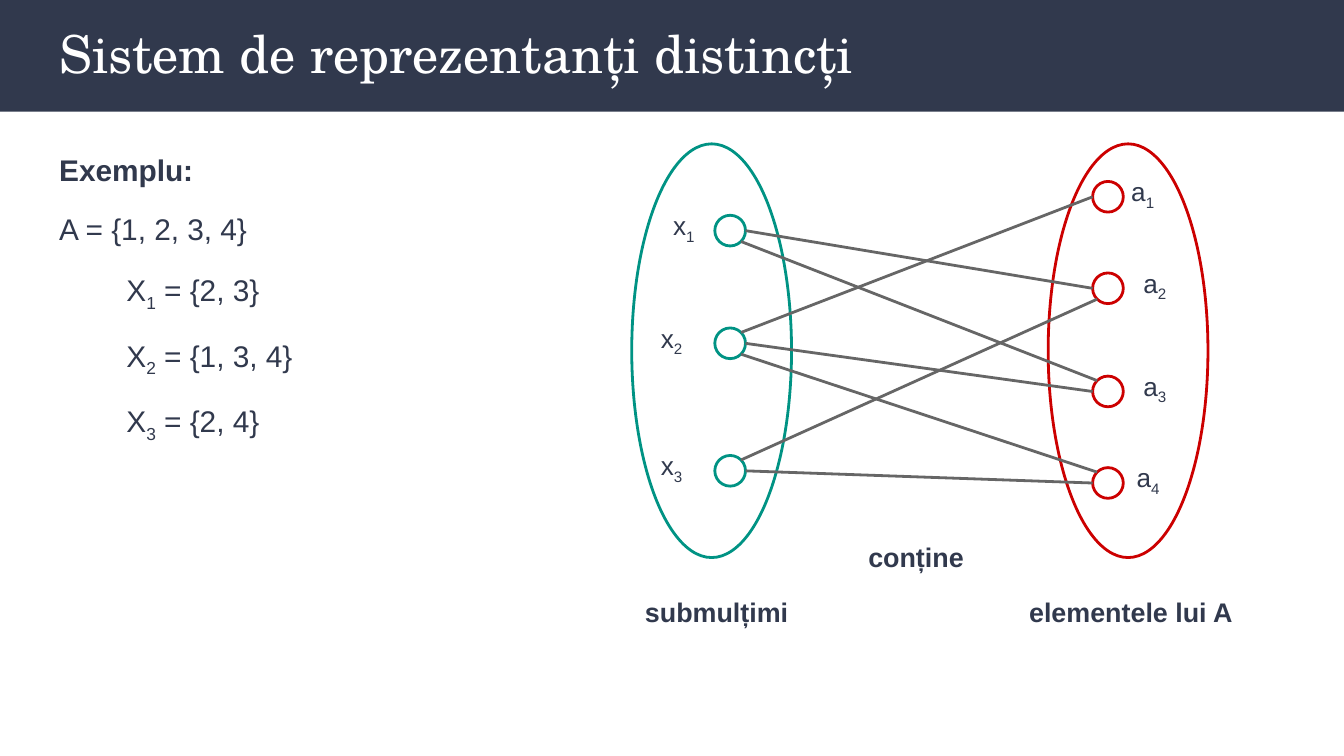
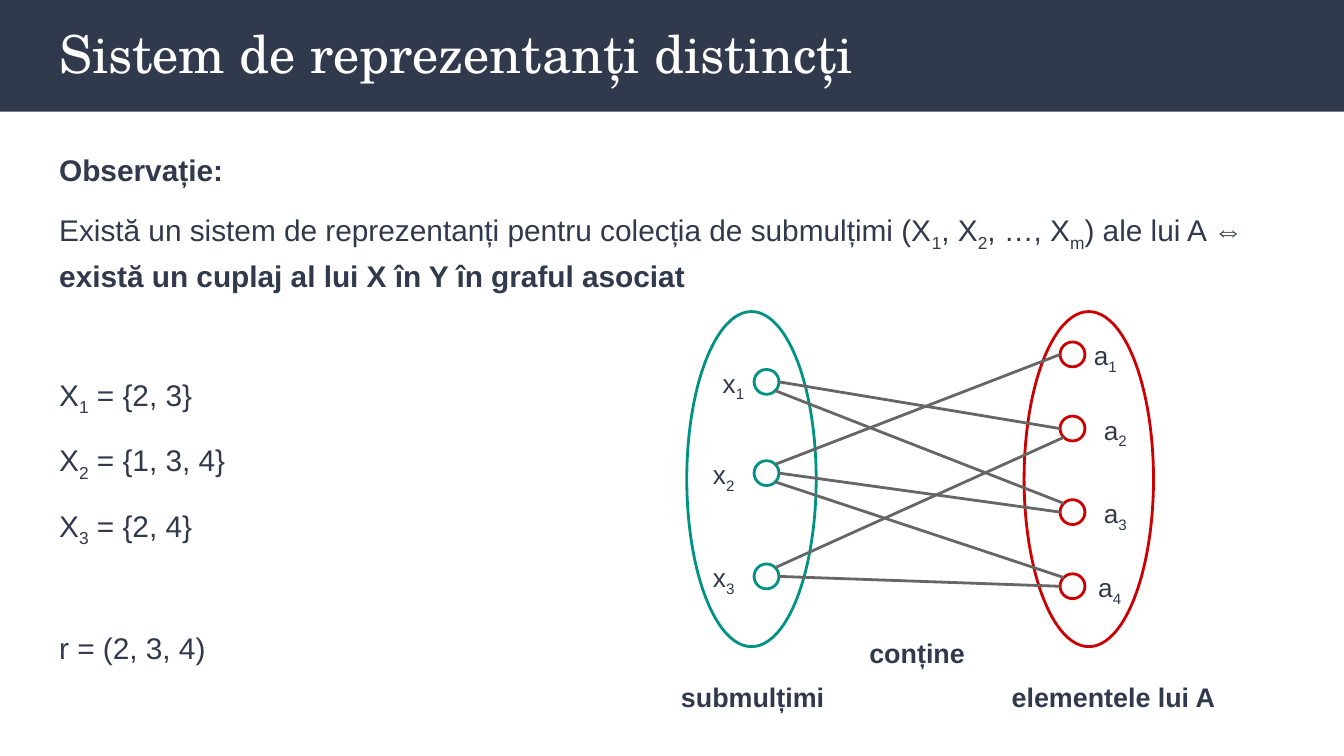
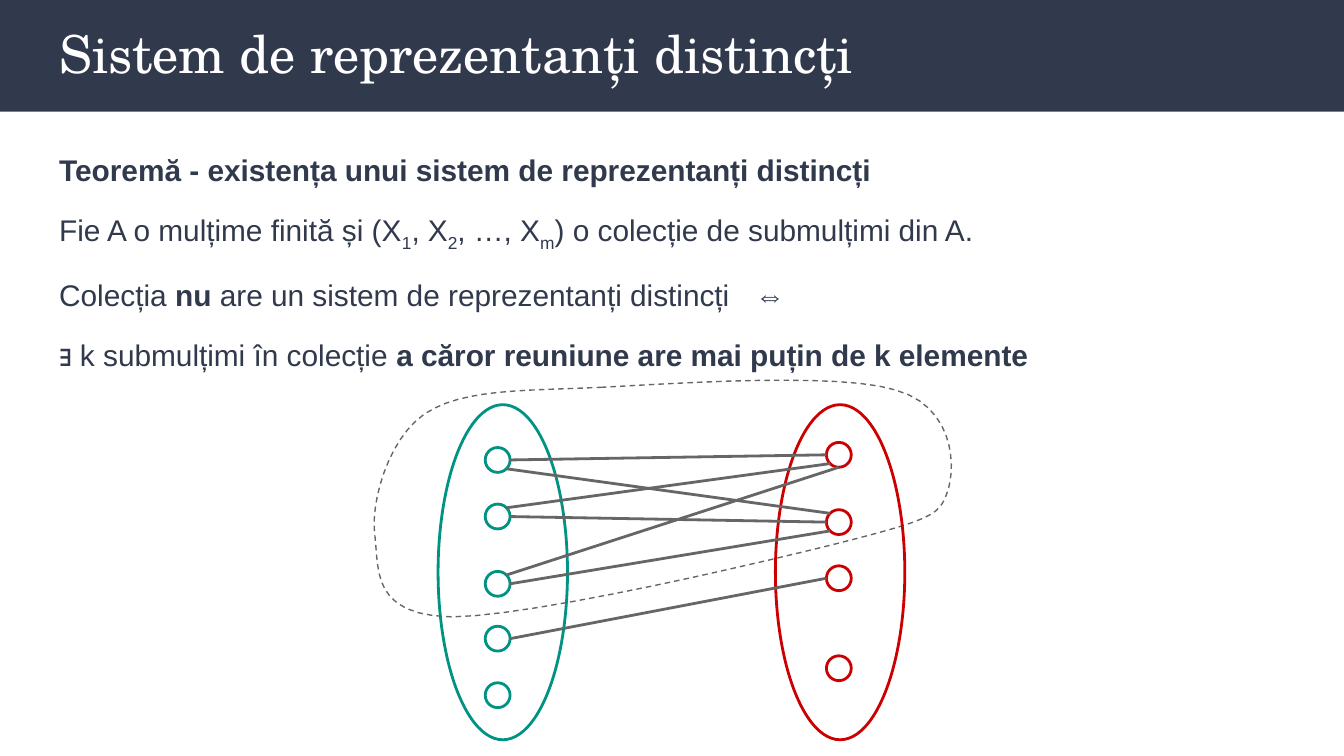
import math

import lxml.etree
import pptx
import pptx.dml.color
import pptx.enum.dml
import pptx.enum.shapes
import pptx.enum.text
import pptx.oxml.ns
import pptx.util

Cm = pptx.util.Cm
Pt = pptx.util.Pt

COLOURS = {
    "navy": "31394D",
    "white": "FFFFFF",
    "teal": "009384",
    "red": "CC0000",
    "grey": "666666",
}
TITLE_FONT, BODY_FONT = "TeX Gyre Schola", "Arial"
PAGE_WIDTH, PAGE_HEIGHT = 25.4, 14.29
TITLE = "Sistem de reprezentanți distincți"
NODE_SIZE = 0.58
SMALL_SCALE = 0.81

SUBSETS = ["X_1 = {2, 3}", "X_2 = {1, 3, 4}", "X_3 = {2, 4}"]
SUBSET_NODES = (1.57, [1.35, 3.48, 5.89])
ELEMENT_NODES = (8.71, [0.71, 2.44, 4.39, 6.12])
SUBSET_LABEL_SHIFTS = [-1.04, -1.27, -1.27]
ELEMENT_LABEL_SHIFTS = [0.48, 0.71, 0.71, 0.58]
MEMBERSHIP_EDGES = [
    (0, 6, 1, 2), (0, 5, 2, 1), (1, 7, 0, 2), (1, 5, 3, 1),
    (2, 7, 1, 3), (2, 6, 3, 2), (1, 6, 2, 2),
]

DEFICIT_SUBSETS = (1.1, [1.0, 2.32, 3.89, 5.17, 6.49])
DEFICIT_ELEMENTS = (9.06, [0.88, 2.45, 3.76, 5.86])
DEFICIT_EDGES = [
    (0, 6, 0, 2), (0, 5, 1, 1), (1, 7, 0, 3), (1, 6, 1, 2),
    (2, 7, 0, 4), (2, 6, 1, 3), (3, 6, 2, 2),
]
ENCLOSURE_START = (4.32, 0.13)
ENCLOSURE_CURVES = [
    ((2.85, 0.2), (1.7, 0.15), (0.97, 0.63)),
    ((0.26, 1.12), (-0.07, 2.34), (0.03, 2.97)),
    ((0.1, 3.61), (-0.02, 4.44), (1.47, 4.47)),
    ((3.0, 4.47), (7.55, 3.4), (9.09, 3.0)),
    ((10.67, 2.59), (10.72, 2.51), (10.87, 2.03)),
    ((11.0, 1.57), (10.95, 0.48), (9.86, 0.18)),
    ((8.79, -0.15), (5.82, 0.05), ENCLOSURE_START),
]


def rgb(name):
    """Return the named colour."""
    return pptx.dml.color.RGBColor.from_string(COLOURS[name])


def add_span(para, text, size, font, colour, bold=False, subscript=False):
    """Add one formatted run, if it has any text."""
    if not text:
        return
    span = para.add_run()
    span.text = text
    span.font.size = Pt(size)
    span.font.name = font
    span.font.bold = bold
    span.font.color.rgb = rgb(colour)
    if subscript:
        span.font._element.set("baseline", "-25000")


def add_marked_text(para, text, size, font=BODY_FONT, colour="navy"):
    """Add runs: asterisks switch bold, an underscore lowers the next character."""
    for index, chunk in enumerate(text.split("*")):
        bold = index % 2 == 1
        first, *others = chunk.split("_")
        add_span(para, first, size, font, colour, bold)
        for piece in others:
            add_span(para, piece[0], size, font, colour, bold, subscript=True)
            add_span(para, piece[1:], size, font, colour, bold)


def add_text_box(page, left, top, width, height):
    """Add a wrapping text box and return its frame."""
    box = page.shapes.add_textbox(Cm(left), Cm(top), Cm(width), Cm(height))
    frame = box.text_frame
    frame.word_wrap = True
    frame.margin_left = frame.margin_right = Cm(0.25)
    frame.margin_top = frame.margin_bottom = Cm(0.25)
    return frame


def add_page(deck):
    """Add a page with the title band."""
    page = deck.slides.add_slide(deck.slide_layouts[6])
    band = page.shapes.add_shape(
        pptx.enum.shapes.MSO_SHAPE.RECTANGLE, 0, 0, Cm(PAGE_WIDTH), Cm(2.11))
    band.shadow.inherit = False
    band.fill.solid()
    band.fill.fore_color.rgb = rgb("navy")
    band.line.fill.background()
    frame = add_text_box(page, 0.87, 0.15, 23.67, 1.73)
    add_marked_text(frame.paragraphs[0], TITLE, 28, TITLE_FONT, "white")
    return page


def add_body(page, lines, gaps=None, indented=(), tab=None):
    """Write the body lines; gaps overrides the space before a line."""
    frame = add_text_box(page, 0.87, 2.51, 23.67, 11.25)
    for index, line in enumerate(lines):
        para = frame.add_paragraph() if index else frame.paragraphs[0]
        para.line_spacing = 1.15
        para.space_before = Pt((gaps or {}).get(index, 10 if index else 0))
        add_marked_text(para, line, 16)
        properties = para._p.get_or_add_pPr()
        if index in indented:
            properties.set("marL", str(Cm(1.27)))
            properties.set("indent", "0")
        if "\t" in line:
            stops = lxml.etree.SubElement(properties, pptx.oxml.ns.qn("a:tabLst"))
            lxml.etree.SubElement(
                stops, pptx.oxml.ns.qn("a:tab"), pos=str(Cm(tab)), algn="l")


def add_oval(page, left, top, width, height, colour):
    """Add an unfilled outlined ellipse."""
    oval = page.shapes.add_shape(
        pptx.enum.shapes.MSO_SHAPE.OVAL, Cm(left), Cm(top), Cm(width), Cm(height))
    oval.shadow.inherit = False
    oval.fill.background()
    oval.line.color.rgb = rgb(colour)
    oval.line.width = Pt(1.5)
    return oval


def site_point(node, site):
    """Return a node's connection site, counted anticlockwise from the top."""
    angle = math.radians(45 * site)
    radius = node.width / 2
    return (round(node.left + radius * (1 - math.sin(angle))),
            round(node.top + radius * (1 - math.cos(angle))))


def add_edge(page, start, start_site, end, end_site):
    """Join two nodes with a straight connector attached to their sites."""
    edge = page.shapes.add_connector(
        pptx.enum.shapes.MSO_CONNECTOR.STRAIGHT,
        *site_point(start, start_site), *site_point(end, end_site))
    edge.line.color.rgb = rgb("grey")
    edge.line.width = Pt(1.5)
    lxml.etree.SubElement(edge._element.spPr, pptx.oxml.ns.qn("a:effectLst"))
    joints = edge._element.find(".//" + pptx.oxml.ns.qn("p:cNvCxnSpPr"))
    for tag, node, site in (("a:stCxn", start, start_site), ("a:endCxn", end, end_site)):
        lxml.etree.SubElement(
            joints, pptx.oxml.ns.qn(tag), id=str(node.shape_id), idx=str(site))


def add_graph(page, left, top, scale, subsets, elements, edges):
    """Draw two ovals with their columns of nodes and the edges between them."""
    columns = []
    for oval_x, colour, (node_x, rows) in (
            (7.87, "red", elements), (0, "teal", subsets)):
        add_oval(page, left + oval_x * scale, top, 3.02 * scale, 7.82 * scale, colour)
        columns.append([
            add_oval(page, left + node_x * scale, top + row * scale,
                     NODE_SIZE * scale, NODE_SIZE * scale, colour)
            for row in rows])
    element_nodes, subset_nodes = columns
    for subset, subset_site, element, element_site in edges:
        add_edge(page, subset_nodes[subset], subset_site,
                 element_nodes[element], element_site)


def add_membership_graph(page, left, top, scale, captions):
    """Draw the labelled graph; captions lists text, left, top and width in the box."""
    add_graph(page, left, top, scale, SUBSET_NODES, ELEMENT_NODES, MEMBERSHIP_EDGES)
    for letter, (node_x, rows), shifts in (
            ("x", SUBSET_NODES, SUBSET_LABEL_SHIFTS),
            ("a", ELEMENT_NODES, ELEMENT_LABEL_SHIFTS)):
        for number, (row, shift) in enumerate(zip(rows, shifts), 1):
            frame = add_text_box(
                page, left + (node_x + shift) * scale, top + (row - 0.36) * scale,
                1.32 * scale, 1.12)
            add_marked_text(frame.paragraphs[0], f"{letter}_{number}", 14)
    for text, caption_x, caption_y, width in captions:
        frame = add_text_box(page, left + caption_x, top + caption_y * scale, width, 1.07)
        frame.paragraphs[0].line_spacing = 1.15
        add_marked_text(frame.paragraphs[0], f"*{text}*", 14.4)


def add_enclosure(page, left, top):
    """Draw the dashed curved outline around the chosen nodes."""
    points, start = [], ENCLOSURE_START
    for first, second, end in ENCLOSURE_CURVES:
        for step in range(1, 13):
            t = step / 12
            points.append(tuple(
                Cm((1 - t) ** 3 * a + 3 * (1 - t) ** 2 * t * b
                   + 3 * (1 - t) * t ** 2 * c + t ** 3 * d)
                for a, b, c, d in zip(start, first, second, end)))
        start = end
    builder = page.shapes.build_freeform(*(Cm(value) for value in ENCLOSURE_START))
    builder.add_line_segments(points, close=True)
    outline = builder.convert_to_shape(Cm(left), Cm(top))
    outline.shadow.inherit = False
    outline.fill.background()
    outline.line.color.rgb = rgb("grey")
    outline.line.width = Pt(0.75)
    outline.line.dash_style = pptx.enum.dml.MSO_LINE.DASH


def build_example(deck):
    """Build the page with the example."""
    page = add_page(deck)
    add_body(page, ["*Exemplu:*", "A = {1, 2, 3, 4}", *SUBSETS], indented=(2, 3, 4))
    add_membership_graph(page, 11.94, 2.72, 1, [
        ("elementele lui A", 7.26, 8.2, 4.52),
        ("submulțimi", 0, 8.2, 3.25),
        ("conține", 4.22, 7.16, 2.4),
    ])


def build_remark(deck):
    """Build the page with the remark on matchings."""
    page = add_page(deck)
    add_body(page, [
        "*Observație:*",
        "Există un sistem de reprezentanți pentru colecția de submulțimi "
        "(X_1, X_2, …, X_m) ale lui A ⇔ "
        "*există un cuplaj al lui X în Y în graful asociat*",
        *SUBSETS,
        "r = (2, 3, 4)",
    ], gaps={2: 41, 5: 41})
    add_membership_graph(page, 12.98, 5.89, SMALL_SCALE, [
        ("elementele lui A", 5.89, 8.2, 4.85),
        ("submulțimi", -0.36, 8.2, 3.25),
        ("conține", 3.2, 7.16, 2.44),
    ])


def build_theorem(deck):
    """Build the page with the existence theorem."""
    page = add_page(deck)
    add_body(page, [
        "*Teoremă - existența unui sistem de reprezentanți distincți*",
        "Fie A o mulțime finită și (X_1, X_2, …, X_m) o colecție de submulțimi din A.",
        "Colecția *nu* are un sistem de reprezentanți distincți\t⇔",
        "∃ k submulțimi în colecție *a căror reuniune are mai puțin de k elemente*",
    ], tab=13.15)
    add_enclosure(page, 7.06, 7.19)
    add_graph(page, 8.28, 7.65, SMALL_SCALE,
              DEFICIT_SUBSETS, DEFICIT_ELEMENTS, DEFICIT_EDGES)


def main():
    """Build and save the deck."""
    deck = pptx.Presentation()
    deck.slide_width, deck.slide_height = Cm(PAGE_WIDTH), Cm(PAGE_HEIGHT)
    for build in (build_example, build_remark, build_theorem):
        build(deck)
    deck.save("out.pptx")


if __name__ == "__main__":
    main()
